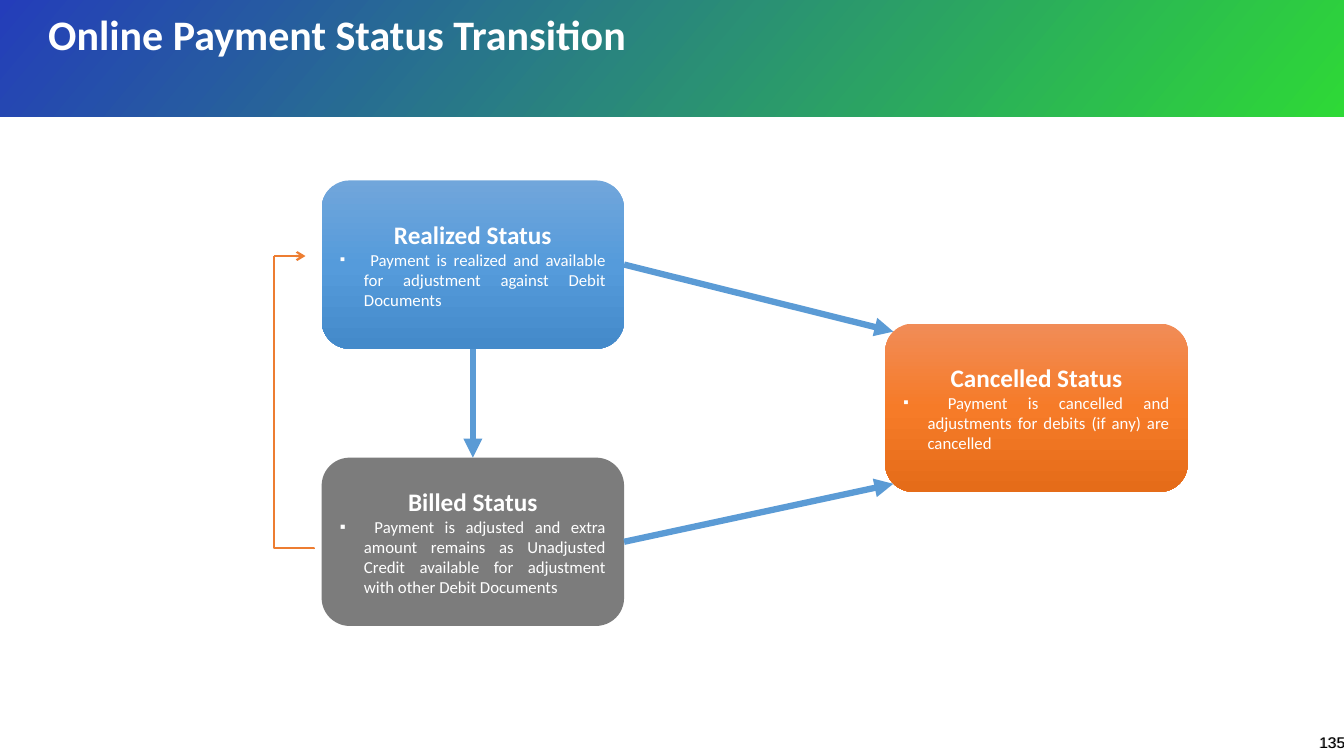
from lxml import etree
from pptx import Presentation, util as u
from pptx.dml.color import RGBColor
from pptx.enum import shapes as s, text as t
from pptx.oxml import parse_xml
from pptx.oxml.ns import nsdecls, qn

TITLE = "Online Payment Status Transition"
PAGE_NUMBER = "135"
COLORS = {"white": "FFFFFF", "black": "000000", "number_shade": "929292",
          "arrow": "5B9BD5", "return": "ED7D31", "billed": "7C7C7C"}
GRADIENTS = {
    "banner": (40, 89, ((0, "0D29B3"), (100, "18D521"))),
    "realized": (90, 100, ((0, "71A6DB"), (50, "559BDB"), (100, "448ACA"))),
    "cancelled": (90, 100, ((0, "F18C57"), (50, "F67B28"), (100, "E56C19"))),
}
STATUSES = {
    "realized": ("Realized Status", (
        (" ", 11),
        ("Payment is realized and available for adjustment against Debit Documents", 12))),
    "billed": ("Billed Status", (
        (" Payment is adjusted and extra amount remains as Unadjusted Credit "
         "available for adjustment with other Debit Documents ", 12),)),
    "cancelled": ("Cancelled Status", (
        (" ", 11),
        ("Payment is cancelled and adjustments for debits (if any) are cancelled", 12))),
}
WIDTH, HEIGHT = 13.33, 7.5
BOX_W, BOX_H = 3, 1.67
LEFT, RIGHT = 3.19, 8.78
TOP, BOTTOM = 1.79, 4.54
PLACES = {"realized": (LEFT, TOP), "billed": (LEFT, BOTTOM), "cancelled": (RIGHT, 3.21)}
CORNER = 0.08
RETURN_X, RETURN_FROM, RETURN_TO = 2.72, (3.11, 5.45), (3.03, 2.54)

prs = Presentation()
prs.slide_width, prs.slide_height = u.Inches(WIDTH), u.Inches(HEIGHT)
slide = prs.slides.add_slide(prs.slide_layouts[6])


def inches(*lengths):
    return [u.Inches(length) for length in lengths]


def add_run(paragraph, words, size, color="white", bold=False, font="Calibri"):
    run = paragraph.add_run()
    run.text = words
    run.font.name, run.font.size, run.font.bold = font, u.Pt(size), bold
    run.font.color.rgb = RGBColor.from_string(COLORS[color])


def add_panel(kind, place, fill):
    panel = slide.shapes.add_shape(kind, *inches(*place))
    panel.shadow.inherit = False
    panel.line.fill.background()
    panel.fill.solid()
    if fill in COLORS:
        panel.fill.fore_color.rgb = RGBColor.from_string(COLORS[fill])
        return panel
    angle, alpha, stops = GRADIENTS[fill]
    marks = "".join(
        f'<a:gs pos="{pos * 1000}"><a:srgbClr val="{color}">'
        f'<a:alpha val="{alpha * 1000}"/></a:srgbClr></a:gs>' for pos, color in stops)
    gradient = parse_xml(f'<a:gradFill {nsdecls("a")} rotWithShape="1"><a:gsLst>{marks}</a:gsLst>'
                         f'<a:lin ang="{angle * 60000}" scaled="0"/></a:gradFill>')
    props = panel.fill._xPr
    props.replace(props.find(qn("a:solidFill")), gradient)
    return panel


def add_label(place, words, size, **style):
    frame = slide.shapes.add_textbox(*inches(*place)).text_frame
    frame.word_wrap = True
    add_run(frame.paragraphs[0], words, size, **style)
    return frame.paragraphs[0]


def add_status(key):
    heading, detail = STATUSES[key]
    frame = add_panel(s.MSO_SHAPE.FLOWCHART_ALTERNATE_PROCESS,
                      (*PLACES[key], BOX_W, BOX_H), key).text_frame
    frame.word_wrap = True
    frame.vertical_anchor = t.MSO_ANCHOR.MIDDLE
    frame.paragraphs[0].alignment = t.PP_ALIGN.CENTER
    add_run(frame.paragraphs[0], heading, 18, bold=True)
    body = frame.add_paragraph()
    body.alignment = t.PP_ALIGN.JUSTIFY
    props = body._p.get_or_add_pPr()
    indent = u.Inches(0.24)
    props.set("marL", str(indent))
    props.set("indent", str(-indent))
    etree.SubElement(props, qn("a:buFont"), typeface="Arial")
    etree.SubElement(props, qn("a:buChar"), char="▪")
    for words, size in detail:
        add_run(body, words, size)


def add_line(start, end, color, weight, head=None, kind=s.MSO_CONNECTOR.STRAIGHT):
    line = slide.shapes.add_connector(kind, *inches(*start, *end))
    line.line.color.rgb = RGBColor.from_string(COLORS[color])
    line.line.width = u.Pt(weight)
    if head:
        etree.SubElement(line.line._get_or_add_ln(), qn("a:tailEnd"), type=head)
    etree.SubElement(line._element.spPr, qn("a:effectLst"))
    return line


add_panel(s.MSO_SHAPE.RECTANGLE, (0, 0, WIDTH, 1.16), "banner")
for number_left, number_color in ((12.98, "number_shade"), (12.99, "black")):
    add_label((number_left, 7.22, 0.48, 0.4), PAGE_NUMBER, 11, color=number_color, font="Arial")
add_label((0.38, 0.09, 10.19, 0.85), TITLE, 30, bold=True).line_spacing = 0.9

for status in STATUSES:
    add_status(status)

cancelled_top = PLACES["cancelled"][1]
box_right, box_middle = LEFT + BOX_W, LEFT + BOX_W / 2
for start, end in (
    ((box_right, TOP + BOX_H / 2), (RIGHT + CORNER, cancelled_top + CORNER)),
    ((box_right, BOTTOM + BOX_H / 2), (RIGHT + CORNER, cancelled_top + BOX_H - CORNER)),
    ((box_middle, TOP + BOX_H), (box_middle, BOTTOM)),
):
    add_line(start, end, "arrow", 4.5, "triangle")

center_x, center_y = (RETURN_X + RETURN_FROM[0]) / 2, (RETURN_FROM[1] + RETURN_TO[1]) / 2
half_long, half_short = (RETURN_FROM[1] - RETURN_TO[1]) / 2, (RETURN_FROM[0] - RETURN_X) / 2
return_path = add_line((center_x - half_long, center_y + half_short),
                       (center_x + half_long, center_y - half_short),
                       "return", 1.5, kind=s.MSO_CONNECTOR.ELBOW)
shape_props = return_path._element.spPr
shape_props.find(qn("a:xfrm")).set("rot", str(270 * 60000))
guides = shape_props.find(qn("a:prstGeom")).get_or_add_avLst()
etree.SubElement(guides, qn("a:gd"), name="adj1", fmla="val 300")
add_line((RETURN_X, RETURN_TO[1]), RETURN_TO, "return", 1.5, "arrow")

prs.save("out.pptx")
